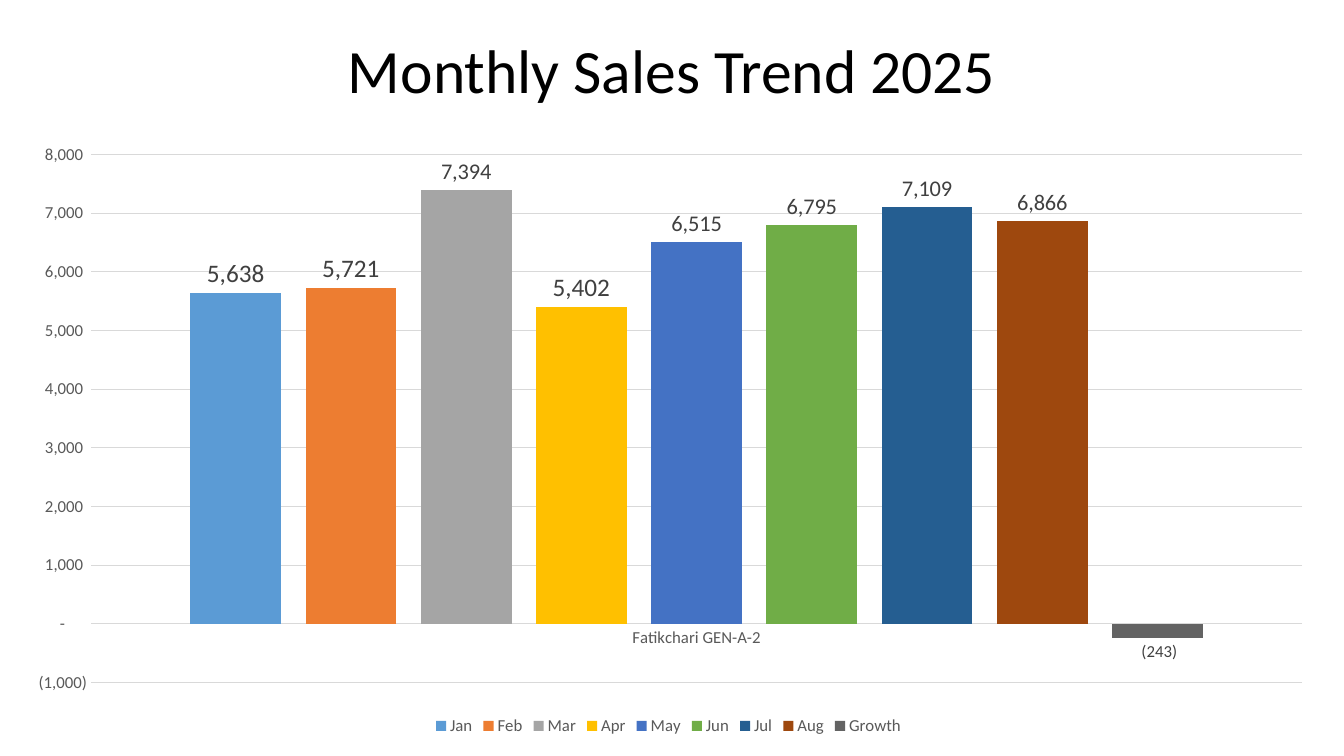
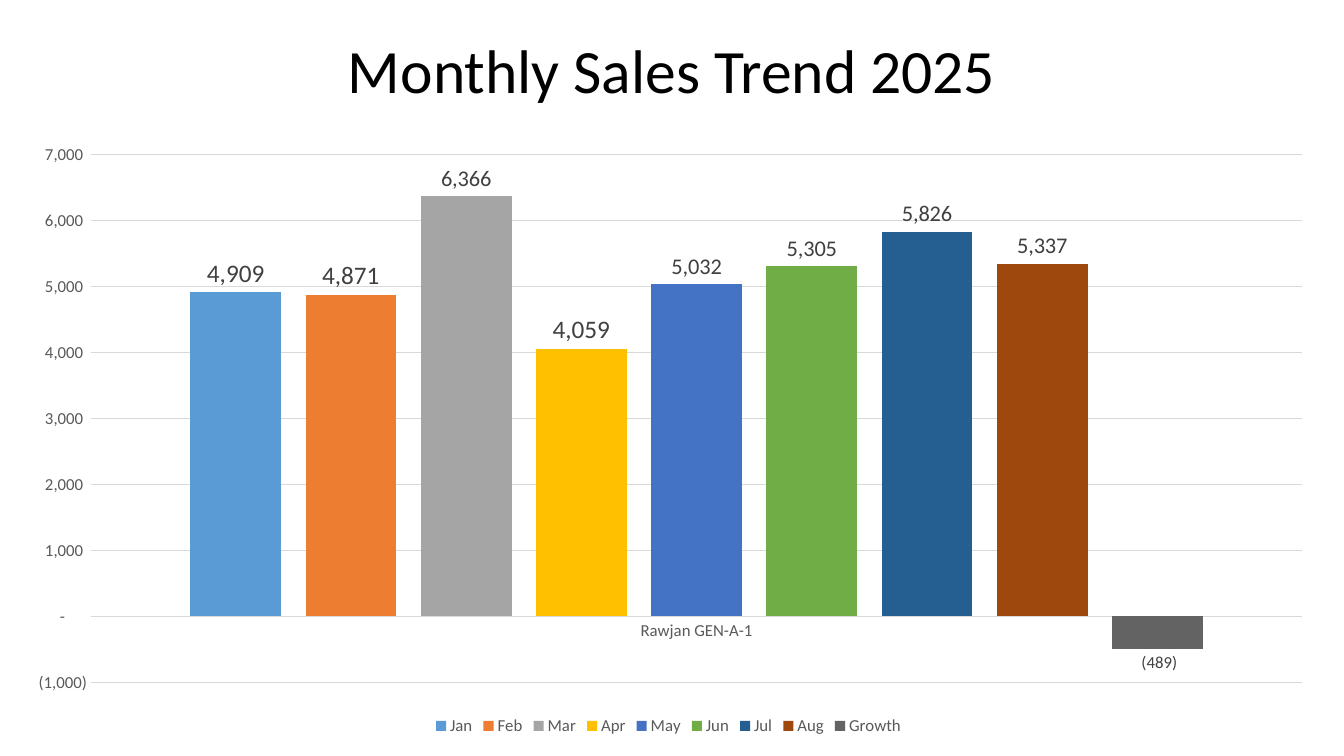
from pptx import Presentation
from pptx.chart.data import CategoryChartData
from pptx.dml.color import RGBColor
from pptx.enum import chart as ch, text as tx
from pptx.util import Pt

FONT = "Calibri"
BLACK = RGBColor(0x00, 0x00, 0x00)
AXIS_GREY = RGBColor(0x59, 0x59, 0x59)
LABEL_GREY = RGBColor(0x40, 0x40, 0x40)
GRID_GREY = RGBColor(0xD9, 0xD9, 0xD9)
ACCOUNTING = r'_(* #,##0_);_(* \(#,##0\);_(* "-"??_);_(@_)'

# Column name, fill colour and label size
COLUMNS = [
    ("Jan", RGBColor(0x5B, 0x9B, 0xD5), 18),
    ("Feb", RGBColor(0xED, 0x7D, 0x31), 18),
    ("Mar", RGBColor(0xA5, 0xA5, 0xA5), 16),
    ("Apr", RGBColor(0xFF, 0xC0, 0x00), 18),
    ("May", RGBColor(0x44, 0x72, 0xC4), 16),
    ("Jun", RGBColor(0x70, 0xAD, 0x47), 16),
    ("Jul", RGBColor(0x25, 0x5E, 0x91), 16),
    ("Aug", RGBColor(0x9E, 0x48, 0x0E), 16),
    ("Growth", RGBColor(0x63, 0x63, 0x63), 12),
]

# Region, sales from January to August, top of the value axis
REGIONS = [
    ("Fatikchari GEN-A-2", [5638, 5721, 7394, 5402, 6515, 6795, 7109, 6866], 8000),
    ("Rawjan GEN-A-1", [4909, 4871, 6366, 4059, 5032, 5305, 5826, 5337], 7000),
]


class SalesDeck:
    def __init__(self):
        self.prs = Presentation()
        self.prs.slide_width, self.prs.slide_height = Pt(960), Pt(540)
        self.slide = None

    def add_slide(self, heading):
        self.slide = self.prs.slides.add_slide(self.prs.slide_layouts[5])
        title = self.slide.shapes.title
        title.left, title.top, title.width, title.height = Pt(66), Pt(10.8), Pt(828), Pt(83.5)
        title.text_frame.text = heading
        title.text_frame.vertical_anchor = tx.MSO_ANCHOR.MIDDLE
        line = title.text_frame.paragraphs[0]
        line.alignment = tx.PP_ALIGN.CENTER
        line.line_spacing = 0.9
        self.style_font(line.runs[0].font, 44, BLACK)

    def add_sales_chart(self, region, sales, axis_top):
        """Draw one column per month, then the change over the last month."""
        data = CategoryChartData()
        data.categories = [region]
        growth = sales[-1] - sales[-2]
        for (name, _, _), value in zip(COLUMNS, sales + [growth]):
            data.add_series(name, [value])
        chart = self.slide.shapes.add_chart(
            ch.XL_CHART_TYPE.COLUMN_CLUSTERED, Pt(6), Pt(94.5), Pt(943), Pt(434), data).chart
        self.style_font(chart.font, 10, BLACK)
        chart.has_title = False
        chart.has_legend = True
        chart.legend.position = ch.XL_LEGEND_POSITION.BOTTOM
        chart.legend.include_in_layout = False
        self.style_font(chart.legend.font, 12, AXIS_GREY)
        self.style_axes(chart, axis_top)
        self.style_columns(chart.plots[0])

    def style_axes(self, chart, axis_top):
        regions, values = chart.category_axis, chart.value_axis
        for axis in (regions, values):
            axis.major_tick_mark = axis.minor_tick_mark = ch.XL_TICK_MARK.NONE
            self.style_font(axis.tick_labels.font, 12, AXIS_GREY)
        self.style_line(regions.format.line)
        values.format.line.fill.background()
        values.has_major_gridlines = True
        self.style_line(values.major_gridlines.format.line)
        values.minimum_scale, values.maximum_scale, values.major_unit = -1000, axis_top, 1000
        self.style_numbers(values.tick_labels)

    def style_columns(self, plot):
        plot.gap_width, plot.overlap = 219, -27
        plot.vary_by_categories = False
        for series, (_, colour, label_size) in zip(plot.series, COLUMNS):
            series.invert_if_negative = False
            series.format.fill.solid()
            series.format.fill.fore_color.rgb = colour
            labels = series.data_labels
            labels.show_value = True
            labels.position = ch.XL_LABEL_POSITION.OUTSIDE_END
            self.style_numbers(labels)
            self.style_font(labels.font, label_size, LABEL_GREY)

    @staticmethod
    def style_numbers(labels):
        labels.number_format = ACCOUNTING
        labels.number_format_is_linked = False

    @staticmethod
    def style_line(line):
        line.color.rgb = GRID_GREY
        line.width = Pt(0.75)

    @staticmethod
    def style_font(font, size, colour):
        font.name = FONT
        font.size = Pt(size)
        font.bold = False
        font.color.rgb = colour


def main():
    deck = SalesDeck()
    for region, sales, axis_top in REGIONS:
        deck.add_slide("Monthly Sales Trend 2025")
        deck.add_sales_chart(region, sales, axis_top)
    deck.prs.save("out.pptx")


if __name__ == "__main__":
    main()
